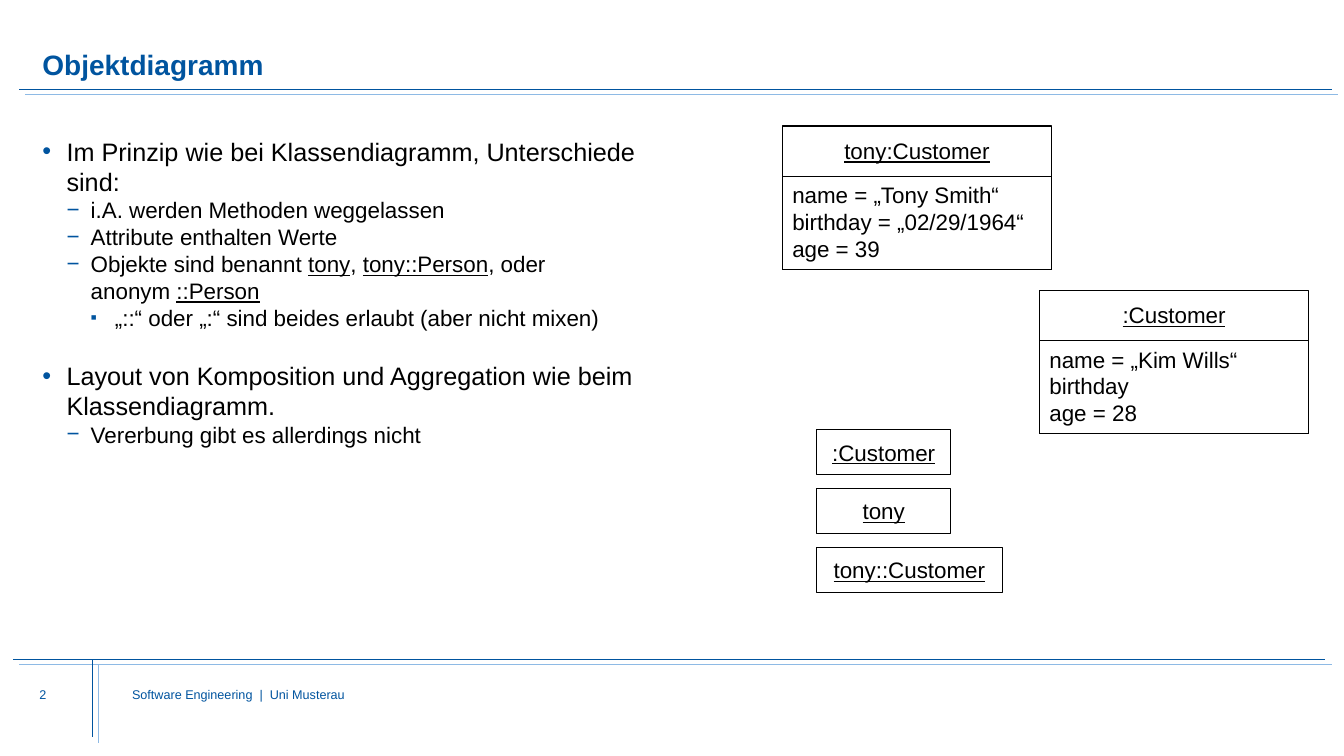
from lxml import etree
from pptx import Presentation
from pptx import util as u
from pptx.dml import color as dml
from pptx.enum import shapes, text
from pptx.oxml import ns

COLORS = {"blue": "00549F", "light": "8EBAE5", "black": "000000"}
INSETS = ("margin_left", "margin_top", "margin_right", "margin_bottom")


def write(para, content, size, color, bold=False, **formats):
    for name, value in formats.items():
        setattr(para, name, value)
    for index, part in enumerate(content.split("_")):
        if not part:
            continue
        span = para.add_run()
        span.text = part
        font_formats = {"name": "Arial", "size": u.Pt(size), "bold": bold,
                        "underline": index % 2 == 1}
        for name, value in font_formats.items():
            setattr(span.font, name, value)
        span.font.color.rgb = dml.RGBColor.from_string(COLORS[color])


def outlined_box(left, top, width, height, lines, anchor, align, top_inset=0.05):
    box = page.shapes.add_shape(shapes.MSO_SHAPE.RECTANGLE, u.Inches(left),
                                u.Inches(top), u.Inches(width), u.Inches(height))
    box.shadow.inherit = False
    box.fill.background()
    box.line.color.rgb = dml.RGBColor.from_string(COLORS["black"])
    box.line.width = u.Pt(0.75)
    frame = box.text_frame
    frame_formats = {"vertical_anchor": anchor, "word_wrap": False,
                     "margin_top": u.Inches(top_inset)}
    for name, value in frame_formats.items():
        setattr(frame, name, value)
    for index, line in enumerate(lines):
        para = frame.add_paragraph() if index else frame.paragraphs[0]
        write(para, line, 16, "black", alignment=align)


deck = Presentation()
deck.slide_width, deck.slide_height = u.Inches(13.33), u.Inches(7.5)
page = deck.slides.add_slide(deck.slide_layouts[1])

rules = [
    (0.19, 0.89, 13.21, 0.89, "blue"),
    (0.25, 0.94, 13.27, 0.94, "light"),
    (0.13, 6.54, 13.14, 6.54, "blue"),
    (0.19, 6.59, 13.21, 6.59, "light"),
    (0.92, 6.54, 0.92, 7.31, "blue"),
    (0.98, 6.6, 0.98, 7.37, "light"),
]
for *ends, color in rules:
    rule = page.shapes.add_connector(shapes.MSO_CONNECTOR.STRAIGHT,
                                     *[u.Inches(end) for end in ends])
    rule.line.color.rgb = dml.RGBColor.from_string(COLORS[color])
    rule.line.width = u.Pt(0.5)
    etree.SubElement(rule._element.spPr, ns.qn("a:effectLst"))

title, body = page.shapes.title, page.placeholders[1]
number = page.shapes.add_textbox(0, 0, 0, 0)
footer = page.shapes.add_textbox(0, 0, 0, 0)
frames = [
    (title, (0.42, 0.22, 12.56, 0.59), text.MSO_ANCHOR.BOTTOM),
    (body, (0.42, 1.35, 6.18, 4.8), text.MSO_ANCHOR.TOP),
    (number, (0.39, 6.81, 0.8, 0.43), text.MSO_ANCHOR.TOP),
    (footer, (1.31, 6.81, 7.66, 0.69), text.MSO_ANCHOR.TOP),
]
for box, place, anchor in frames:
    for name, value in zip(("left", "top", "width", "height"), place):
        setattr(box, name, u.Inches(value))
    frame_formats = {"vertical_anchor": anchor, "word_wrap": True,
                     "auto_size": text.MSO_AUTO_SIZE.NONE, **dict.fromkeys(INSETS, 0)}
    for name, value in frame_formats.items():
        setattr(box.text_frame, name, value)

write(title.text_frame.paragraphs[0], "Objektdiagramm", 20, "blue", True,
      alignment=text.PP_ALIGN.LEFT, line_spacing=0.9)
write(number.text_frame.paragraphs[0], "2", 9, "blue")
write(footer.text_frame.paragraphs[0],
      "Software Engineering  |  Uni Musterau", 9, "blue")

levels = [(18, "•", 100), (16, "−", 100), (16, "▪", 80)]
points = [
    (0, 0, "Im Prinzip wie bei Klassendiagramm, Unterschiede sind:"),
    (1, 0, "i.A. werden Methoden weggelassen"),
    (1, 0, "Attribute enthalten Werte"),
    (1, 0, "Objekte sind benannt _tony_, _tony::Person_, oder anonym _::Person_"),
    (2, 0, "„::“ oder „:“ sind beides erlaubt (aber nicht mixen)"),
    (0, 21, "Layout von Komposition und Aggregation wie beim Klassendiagramm."),
    (1, 0, "Vererbung gibt es allerdings nicht"),
]
for index, (level, gap, content) in enumerate(points):
    frame = body.text_frame
    para = frame.add_paragraph() if index else frame.paragraphs[0]
    size, bullet, percent = levels[level]
    write(para, content, size, "black", level=level, space_before=u.Pt(gap),
          space_after=u.Pt(0), line_spacing=1.0)
    properties = para._p.get_or_add_pPr()
    properties.set("marL", str(u.Inches(0.24 * (level + 1))))
    properties.set("indent", str(u.Inches(-0.24)))
    bullet_color = etree.SubElement(properties, ns.qn("a:buClr"))
    etree.SubElement(bullet_color, ns.qn("a:srgbClr"), val=COLORS["blue"])
    etree.SubElement(properties, ns.qn("a:buSzPct"), val=str(percent * 1000))
    etree.SubElement(properties, ns.qn("a:buFont"), typeface="Arial")
    etree.SubElement(properties, ns.qn("a:buChar"), char=bullet)

customers = [
    (7.76, 1.25, "_tony:Customer_",
     ["name = „Tony Smith“", "birthday = „02/29/1964“", "age = 39"]),
    (10.31, 2.88, "_:Customer_", ["name = „Kim Wills“", "birthday", "age = 28"]),
]
for left, top, name, attributes in customers:
    outlined_box(left, top, 2.67, 1.42, [name], text.MSO_ANCHOR.TOP,
                 text.PP_ALIGN.CENTER, 0.11)
    outlined_box(left, top + 0.5, 2.67, 0.92, attributes, text.MSO_ANCHOR.TOP,
                 text.PP_ALIGN.LEFT)

labels = [(1.33, "_:Customer_"), (1.33, "_tony_"), (1.84, "_tony::Customer_")]
for index, (width, name) in enumerate(labels):
    outlined_box(8.1, 4.26 + 0.585 * index, width, 0.45, [name],
                 text.MSO_ANCHOR.MIDDLE, text.PP_ALIGN.CENTER)

deck.save("out.pptx")
